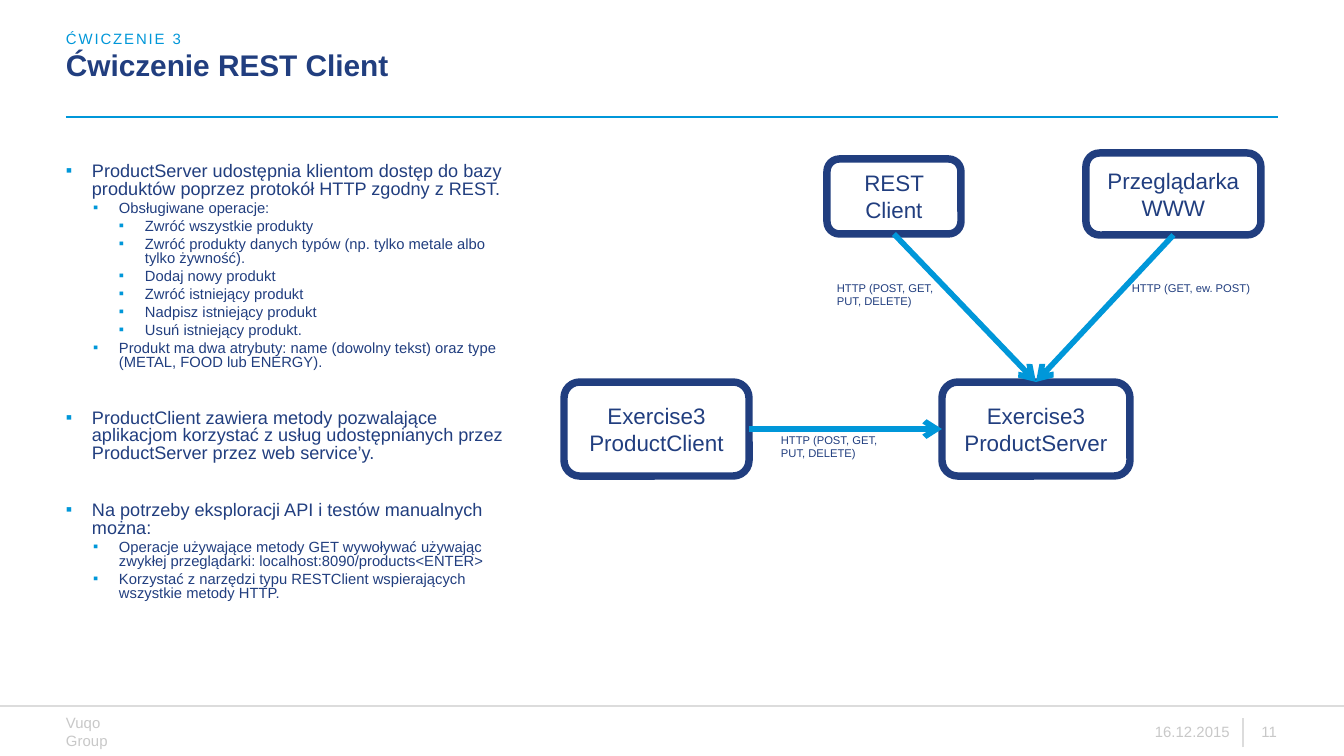
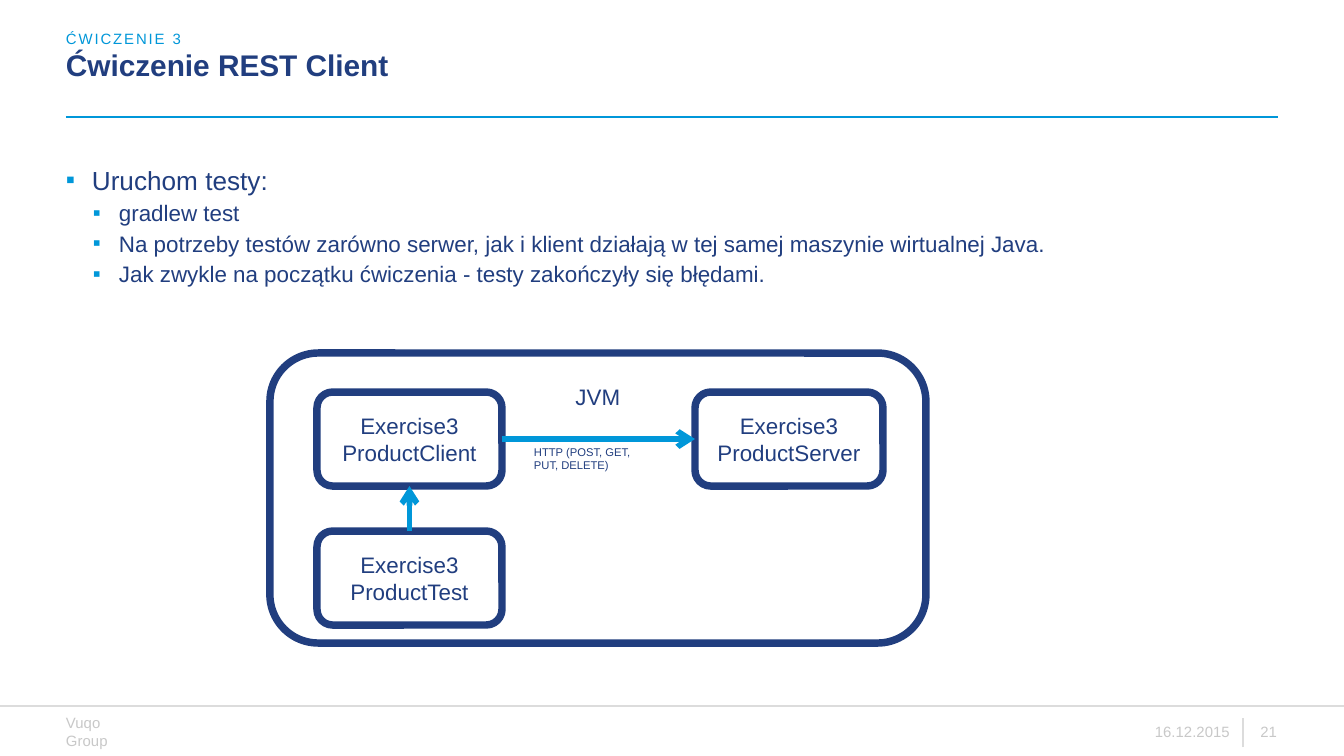
from lxml.etree import SubElement
from pptx import Presentation
from pptx.dml.color import RGBColor
from pptx.enum.shapes import MSO_CONNECTOR, MSO_SHAPE
from pptx.enum.text import MSO_ANCHOR, MSO_AUTO_SIZE, PP_ALIGN
from pptx.oxml.ns import qn
from pptx.util import Pt

SCALE = 6804
NAVY, BLUE, GREY, PALE, WHITE = "213E7F", "0097D9", "C8C8C8", "DCDCDC", "FFFFFF"
TOP, LEFT, BOTTOM, RIGHT = range(4)
GROW = MSO_AUTO_SIZE.SHAPE_TO_FIT_TEXT

STYLES = {
    "title": {"color": NAVY, "margin": 0,
              "frame": {"word_wrap": True, "auto_size": GROW},
              "para": {"line_spacing": Pt(17)},
              "font": {"size": Pt(16), "bold": True}},
    "kicker": {"color": BLUE, "margin": 0, "tracking": "100",
               "frame": {"word_wrap": True, "auto_size": GROW, "vertical_anchor": MSO_ANCHOR.BOTTOM},
               "para": {}, "font": {"size": Pt(8)}},
    "footer": {"color": GREY, "margin": 0,
               "frame": {"word_wrap": False, "auto_size": GROW, "vertical_anchor": MSO_ANCHOR.MIDDLE},
               "para": {}, "font": {"size": Pt(8)}},
    "label": {"color": NAVY, "margin": 0,
              "frame": {"word_wrap": True, "auto_size": GROW},
              "para": {}, "font": {"size": Pt(6)}},
    "node": {"color": NAVY, "margin": 16,
             "frame": {"word_wrap": True, "vertical_anchor": MSO_ANCHOR.MIDDLE},
             "para": {"alignment": PP_ALIGN.CENTER}, "font": {"size": Pt(12)}},
    "body": {"color": NAVY, "margin": 0, "frame": {"word_wrap": True}, "para": {}, "font": {}},
}
STYLES["container"] = {**STYLES["node"], "frame": {"word_wrap": True, "vertical_anchor": MSO_ANCHOR.TOP}}
STYLES["footer right"] = {**STYLES["footer"], "para": {"alignment": PP_ALIGN.RIGHT}}

HTTP_ALL = "HTTP (POST, GET, PUT, DELETE)"
SLIDES = [
    {
        "number": "11",
        "nodes": {
            "server": ((942, 382, 188, 94), ["Exercise3", "ProductServer"], "node"),
            "client": ((564, 382, 185, 94), ["Exercise3", "ProductClient"], "node"),
            "browser": ((1086, 153, 175, 82), ["Przeglądarka WWW"], "node"),
            "rest": ((827, 159, 134, 75), ["REST Client"], "node"),
        },
        "arrows": [("client", RIGHT, "server", LEFT), ("rest", BOTTOM, "server", TOP),
                   ("browser", BOTTOM, "server", TOP)],
        "labels": [((781, 433, 113, 27), HTTP_ALL), ((837, 281, 113, 27), HTTP_ALL),
                   ((1132, 281, 129, 13), "HTTP (GET, ew. POST)")],
        "body_width": 439,
        "sizes": (9.7, 7.9, 7.9),
        "line_spacing": 0.8,
        "section_gap": 21.5,
        "bullets": [
            (0, "ProductServer udostępnia klientom dostęp do bazy produktów poprzez protokół HTTP zgodny z REST."),
            (1, "Obsługiwane operacje:"),
            (2, "Zwróć wszystkie produkty"),
            (2, "Zwróć produkty danych typów (np. tylko metale albo tylko żywność)."),
            (2, "Dodaj nowy produkt"),
            (2, "Zwróć istniejący produkt"),
            (2, "Nadpisz istniejący produkt"),
            (2, "Usuń istniejący produkt."),
            (1, "Produkt ma dwa atrybuty: name (dowolny tekst) oraz type (METAL, FOOD lub ENERGY)."),
            (0, "ProductClient zawiera metody pozwalające aplikacjom korzystać z usług "
                "udostępnianych przez ProductServer przez web service’y."),
            (0, "Na potrzeby eksploracji API i testów manualnych można:"),
            (1, "Operacje używające metody GET wywoływać używając zwykłej przeglądarki: "
                "localhost:8090/products<ENTER>"),
            (1, "Korzystać z narzędzi typu RESTClient wspierających wszystkie metody HTTP."),
        ],
    },
    {
        "number": "21",
        "nodes": {
            "machine": ((270, 353, 656, 290), ["JVM"], "container"),
            "server": ((695, 392, 188, 94), ["Exercise3", "ProductServer"], "node"),
            "client": ((317, 392, 185, 94), ["Exercise3", "ProductClient"], "node"),
            "test": ((317, 531, 185, 94), ["Exercise3", "ProductTest"], "node"),
        },
        "arrows": [("client", RIGHT, "server", LEFT), ("test", TOP, "client", BOTTOM)],
        "labels": [((534, 445, 113, 27), HTTP_ALL)],
        "body_width": 1173,
        "sizes": (14, 12),
        "line_spacing": 1.0,
        "section_gap": 6,
        "bullets": [
            (0, "Uruchom testy:"),
            (1, "gradlew test"),
            (1, "Na potrzeby testów zarówno serwer, jak i klient działają w tej samej maszynie wirtualnej Java."),
            (1, "Jak zwykle na początku ćwiczenia - testy zakończyły się błędami."),
        ],
    },
]


def write_text(box, lines, style_name):
    style = STYLES[style_name]
    frame = box.text_frame
    for side in ("left", "top", "right", "bottom"):
        setattr(frame, f"margin_{side}", style["margin"] * SCALE)
    for name, value in style["frame"].items():
        setattr(frame, name, value)
    for index, line in enumerate(lines):
        para = frame.add_paragraph() if index else frame.paragraphs[0]
        for name, value in style["para"].items():
            setattr(para, name, value)
        span = para.add_run()
        span.text = line
        for name, value in {"name": "Arial", **style["font"]}.items():
            setattr(span.font, name, value)
        span.font.color.rgb = RGBColor.from_string(style["color"])
        if "tracking" in style:
            span._r.get_or_add_rPr().set("spc", style["tracking"])
    return frame.paragraphs


def draw_line(page, ends, color, width):
    line = page.shapes.add_connector(MSO_CONNECTOR.STRAIGHT, *[value * SCALE for value in ends])
    line.line.color.rgb = RGBColor.from_string(color)
    line.line.width = Pt(width)
    SubElement(line._element.spPr, qn("a:effectLst"))
    return line


deck = Presentation()
deck.slide_width, deck.slide_height = 1344 * SCALE, 756 * SCALE

for content in SLIDES:
    page = deck.slides.add_slide(deck.slide_layouts[6])

    for ends, color in [((66, 117, 1278, 117), BLUE), ((-4, 706, 1348, 706), PALE),
                        ((1243, 747, 1243, 718), PALE)]:
        draw_line(page, ends, color, 0.75)

    texts = [
        ((66, 723, 77, 17), "Vuqo Group", "footer"),
        ((1153, 723, 77, 17), "16.12.2015", "footer right"),
        ((1247, 723, 30, 17), content["number"], "footer right"),
        ((66, 51, 984, 32), "Ćwiczenie REST Client", "title"),
        ((66, 30, 984, 17), "ĆWICZENIE 3", "kicker"),
    ]
    texts += [(place, text, "label") for place, text in content["labels"]]

    nodes = {}
    for name, (place, lines, style_name) in content["nodes"].items():
        node = page.shapes.add_shape(MSO_SHAPE.ROUNDED_RECTANGLE, *[value * SCALE for value in place])
        node.shadow.inherit = False
        node.fill.solid()
        node.fill.fore_color.rgb = RGBColor.from_string(WHITE)
        node.line.color.rgb = RGBColor.from_string(NAVY)
        node.line.width = Pt(4)
        write_text(node, lines, style_name)
        nodes[name] = node

    for start, start_side, end, end_side in content["arrows"]:
        arrow = draw_line(page, (0, 0, 0, 0), BLUE, 3)
        arrow.begin_connect(nodes[start], start_side)
        arrow.end_connect(nodes[end], end_side)
        SubElement(arrow.line._get_or_add_ln(), qn("a:tailEnd"), type="arrow")

    for place, text, style_name in texts:
        box = page.shapes.add_textbox(*[value * SCALE for value in place])
        write_text(box, [text], style_name)

    body = page.shapes.add_textbox(66 * SCALE, 164 * SCALE, content["body_width"] * SCALE, 495 * SCALE)
    paragraphs = write_text(body, [text for level, text in content["bullets"]], "body")
    for index, (para, (level, text)) in enumerate(zip(paragraphs, content["bullets"])):
        before = 2 if level else content["section_gap"] if index else 6
        values = {"level": level, "line_spacing": content["line_spacing"], "space_before": Pt(before)}
        for name, value in values.items():
            setattr(para, name, value)
        para.runs[0].font.size = Pt(content["sizes"][level])
        properties = para._p.get_or_add_pPr()
        properties.set("marL", str(53 * (level + 1) // 2 * SCALE))
        properties.set("indent", str(-26 * SCALE))
        SubElement(SubElement(properties, qn("a:buClr")), qn("a:srgbClr"), val=BLUE)
        SubElement(properties, qn("a:buFont"), typeface="Arial")
        SubElement(properties, qn("a:buChar"), char="▪")

deck.save("out.pptx")
